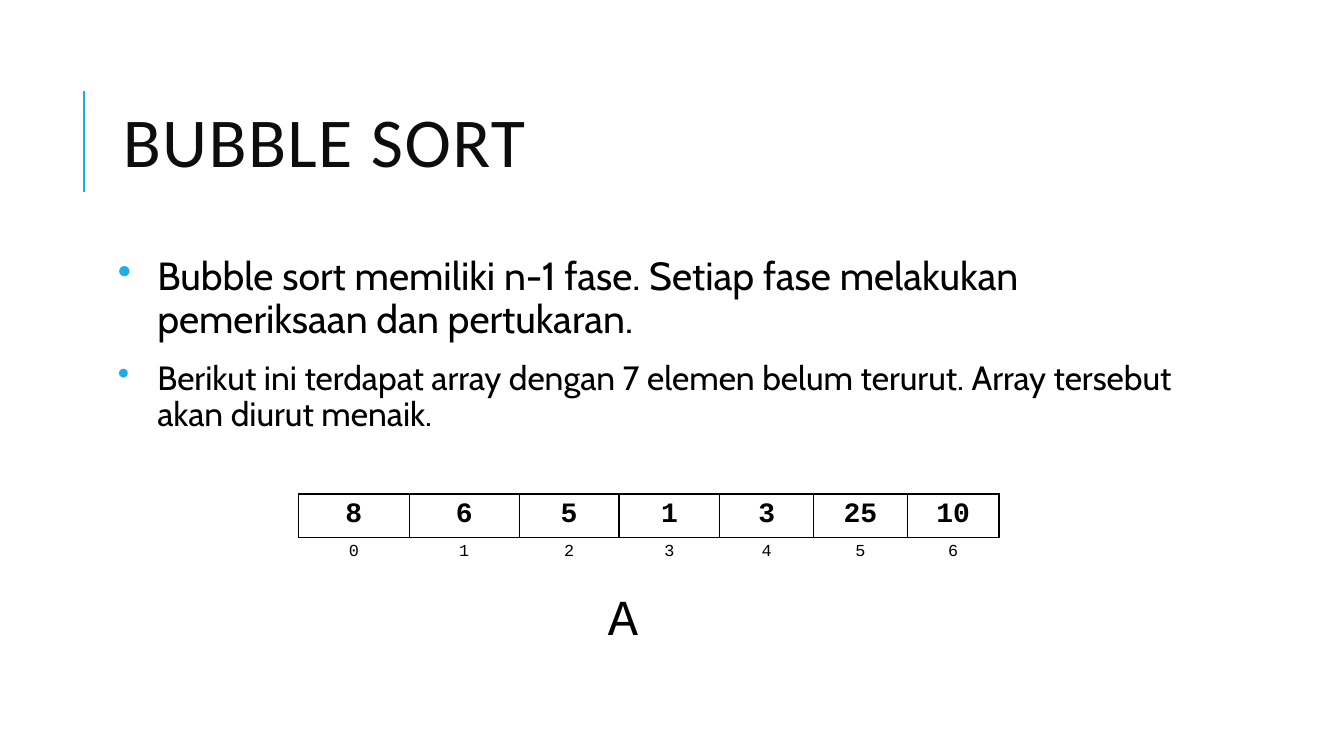
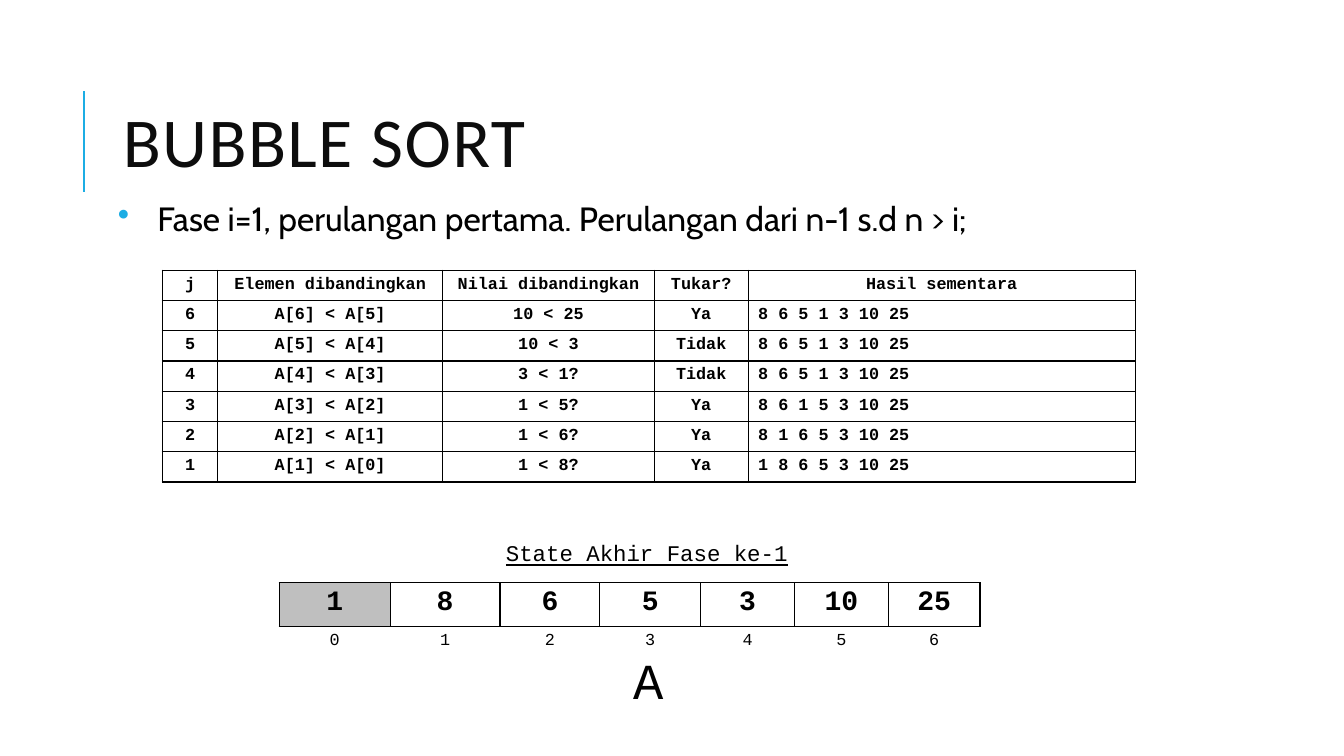
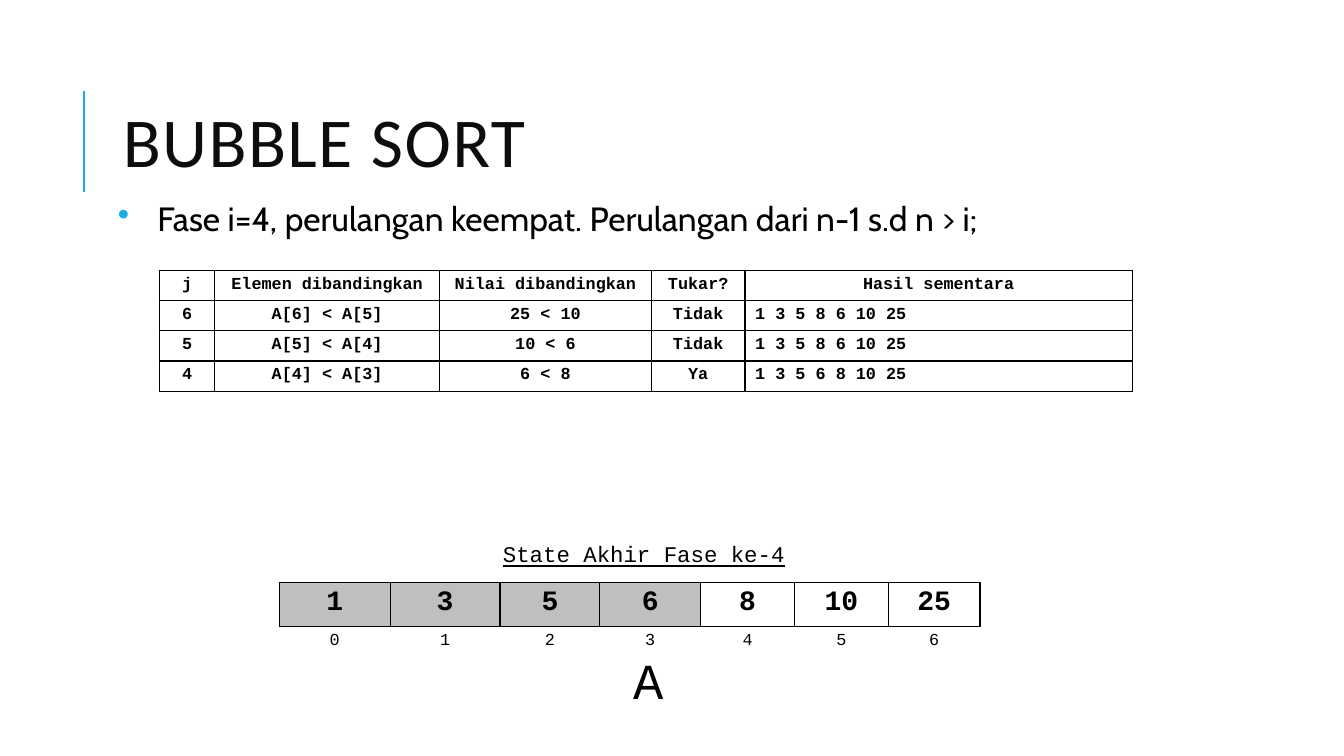
from lxml import etree
from pptx import Presentation
from pptx.dml.color import RGBColor
from pptx.enum.shapes import MSO_CONNECTOR
from pptx.enum.text import MSO_ANCHOR, MSO_AUTO_SIZE, PP_ALIGN
from pptx.oxml.ns import qn
from pptx.util import Inches, Pt

STRAIGHT = MSO_CONNECTOR.STRAIGHT
MIDDLE = MSO_ANCHOR.MIDDLE
FIT_SHAPE = MSO_AUTO_SIZE.SHAPE_TO_FIT_TEXT
LEFT, CENTER, JUSTIFY = PP_ALIGN.LEFT, PP_ALIGN.CENTER, PP_ALIGN.JUSTIFY

COLORS = {"accent": "1CADE4", "title": "0D0D0D", "ink": "000000", "sorted": "BFBFBF"}
HEADING, BODY, CODE = "Calibri", "Cabin", "Courier New"
ALL_SIDES = "LRTB"
ARRAY_COLUMNS = [1.1, 1.09, 0.99, 1, 0.93, 0.93, 0.91]
TRACE_COLUMNS = [0.55, 2.23, 2.1, 0.93, 3.84]
TRACE_HEADER = ["j", "Elemen dibandingkan", "Nilai dibandingkan", "Tukar?", "Hasil sementara"]


def color(name):
    return RGBColor.from_string(COLORS[name])


def write(paragraph, text, size=12, font=CODE, ink="ink", bold=False, underline=False,
          align=LEFT, line=None, before=None, after=None, spacing=None, bullet=False):
    paragraph.alignment = align
    if line:
        paragraph.line_spacing = line
    if before is not None:
        paragraph.space_before = Pt(before)
    if after is not None:
        paragraph.space_after = Pt(after)
    if bullet:
        properties = paragraph._p.get_or_add_pPr()
        properties.set("marL", str(Inches(0.39)))
        properties.set("indent", str(-Inches(0.39)))
        tint = etree.SubElement(properties, qn("a:buClr"))
        etree.SubElement(tint, qn("a:srgbClr"), val=COLORS["accent"])
        etree.SubElement(properties, qn("a:buChar"), char="•")
    run = paragraph.add_run()
    run.text = text
    run.font.size = Pt(size)
    run.font.name = font
    run.font.bold = bold
    run.font.underline = underline
    run.font.color.rgb = color(ink)
    if spacing:
        run.font._element.set("spc", str(spacing * 100))


def draw_borders(cell, sides):
    properties = cell._tc.get_or_add_tcPr()
    for side in ALL_SIDES:
        border = etree.SubElement(properties, qn(f"a:ln{side}"), w=str(Pt(1)))
        if side in sides:
            fill = etree.SubElement(border, qn("a:solidFill"))
            etree.SubElement(fill, qn("a:srgbClr"), val=COLORS["ink"])
        else:
            etree.SubElement(border, qn("a:noFill"))


class Deck:
    def __init__(self):
        self.presentation = Presentation()
        self.presentation.slide_width = Inches(13.33)
        self.presentation.slide_height = Inches(7.5)
        self.slide = None

    def add_slide(self, title):
        self.slide = self.presentation.slides.add_slide(self.presentation.slide_layouts[6])
        rule = self.slide.shapes.add_connector(
            STRAIGHT, Inches(0.83), Inches(1.9), Inches(0.83), Inches(0.9))
        rule.line.color.rgb = color("accent")
        rule.line.width = Pt(1.5)
        etree.SubElement(rule._element.spPr, qn("a:effectLst"))
        frame = self.frame(1.12, 0.64, 10.63, 1.64)
        frame.vertical_anchor = MIDDLE
        write(frame.paragraphs[0], title, size=50, font=HEADING, ink="title", line=0.8, spacing=1)

    def frame(self, left, top, width, height):
        frame = self.slide.shapes.add_textbox(
            Inches(left), Inches(top), Inches(width), Inches(height)).text_frame
        frame.word_wrap = True
        return frame

    def bullets(self, top, height, items):
        frame = self.frame(1.12, top, 10.63, height)
        frame.margin_left = frame.margin_right = Inches(0.05)
        for index, (text, size) in enumerate(items):
            paragraph = frame.add_paragraph() if index else frame.paragraphs[0]
            write(paragraph, text, size=size, font=BODY, line=0.9,
                  before=12 if index else 0, after=2, bullet=True)

    def label(self, left, top, width, height, text, **style):
        frame = self.frame(left, top, width, height)
        frame.word_wrap = False
        frame.auto_size = FIT_SHAPE
        write(frame.paragraphs[0], text, **style)

    def table(self, left, top, columns, row_height, row_count):
        table = self.slide.shapes.add_table(
            row_count, len(columns), Inches(left), Inches(top),
            Inches(sum(columns)), Inches(row_height * row_count)).table
        table.first_row = table.horz_banding = False
        for column, width in zip(table.columns, columns):
            column.width = Inches(width)
        return table

    def cell(self, cell, text, sides=ALL_SIDES, shade=None, **style):
        draw_borders(cell, sides)
        if shade:
            cell.fill.solid()
            cell.fill.fore_color.rgb = color(shade)
        else:
            cell.fill.background()
        write(cell.text_frame.paragraphs[0], text, **style)

    def array(self, left, top, values, sorted_count=0):
        table = self.table(left, top, ARRAY_COLUMNS, 0.42, 2)
        for index, value in enumerate(values):
            self.cell(table.cell(0, index), str(value), size=20, bold=True, align=CENTER,
                      shade="sorted" if index < sorted_count else None)
            self.cell(table.cell(1, index), str(index), sides="T", align=CENTER)

    def array_name(self, left, top):
        self.label(left, top, 0.51, 0.71, "A", size=36)

    def trace(self, left, steps):
        rows = [TRACE_HEADER]
        for j, (compared, swapped, result) in zip(range(6, 0, -1), steps):
            rows.append([str(j), f"A[{j}] < A[{j - 1}]", compared, swapped, result])
        table = self.table(left, 2.68, TRACE_COLUMNS, 0.27, len(rows))
        for r, row in enumerate(rows):
            for c, text in enumerate(row):
                is_result = r > 0 and c == len(row) - 1
                self.cell(table.cell(r, c), text, bold=True,
                          align=JUSTIFY if is_result else CENTER)

    def phase(self, number, ordinal, trace_left, steps, state, state_at):
        self.add_slide("BUBBLE SORT")
        self.bullets(1.96, 0.72, [
            (f"Fase i={number}, perulangan {ordinal}. Perulangan dari n-1 s.d n > i;", 24)])
        self.trace(trace_left, steps)
        self.array(2.77, 5.78, state, sorted_count=number)
        self.array_name(6.18, 6.39)
        self.label(*state_at, 3.04, 0.37, f"State Akhir Fase ke-{number}", size=16, underline=True)


def main():
    deck = Deck()

    deck.add_slide("BUBBLE SORT")
    deck.bullets(2.5, 4.4, [
        ("Bubble sort memiliki n-1 fase. Setiap fase melakukan pemeriksaan dan pertukaran.", 28),
        ("Berikut ini terdapat array dengan 7 elemen belum terurut. "
         "Array tersebut akan diurut menaik.", 24),
    ])
    deck.array(2.96, 4.9, [8, 6, 5, 1, 3, 25, 10])
    deck.array_name(5.93, 5.76)

    deck.phase(1, "pertama", 1.61, [
        ("10 < 25", "Ya", "8 6 5 1 3 10 25"),
        ("10 < 3", "Tidak", "8 6 5 1 3 10 25"),
        ("3 < 1?", "Tidak", "8 6 5 1 3 10 25"),
        ("1 < 5?", "Ya", "8 6 1 5 3 10 25"),
        ("1 < 6?", "Ya", "8 1 6 5 3 10 25"),
        ("1 < 8?", "Ya", "1 8 6 5 3 10 25"),
    ], [1, 8, 6, 5, 3, 10, 25], (4.92, 5.3))

    deck.phase(4, "keempat", 1.58, [
        ("25 < 10", "Tidak", "1 3 5 8 6 10 25"),
        ("10 < 6", "Tidak", "1 3 5 8 6 10 25"),
        ("6 < 8", "Ya", "1 3 5 6 8 10 25"),
    ], [1, 3, 5, 6, 8, 10, 25], (4.89, 5.31))

    deck.presentation.save("out.pptx")


if __name__ == "__main__":
    main()
